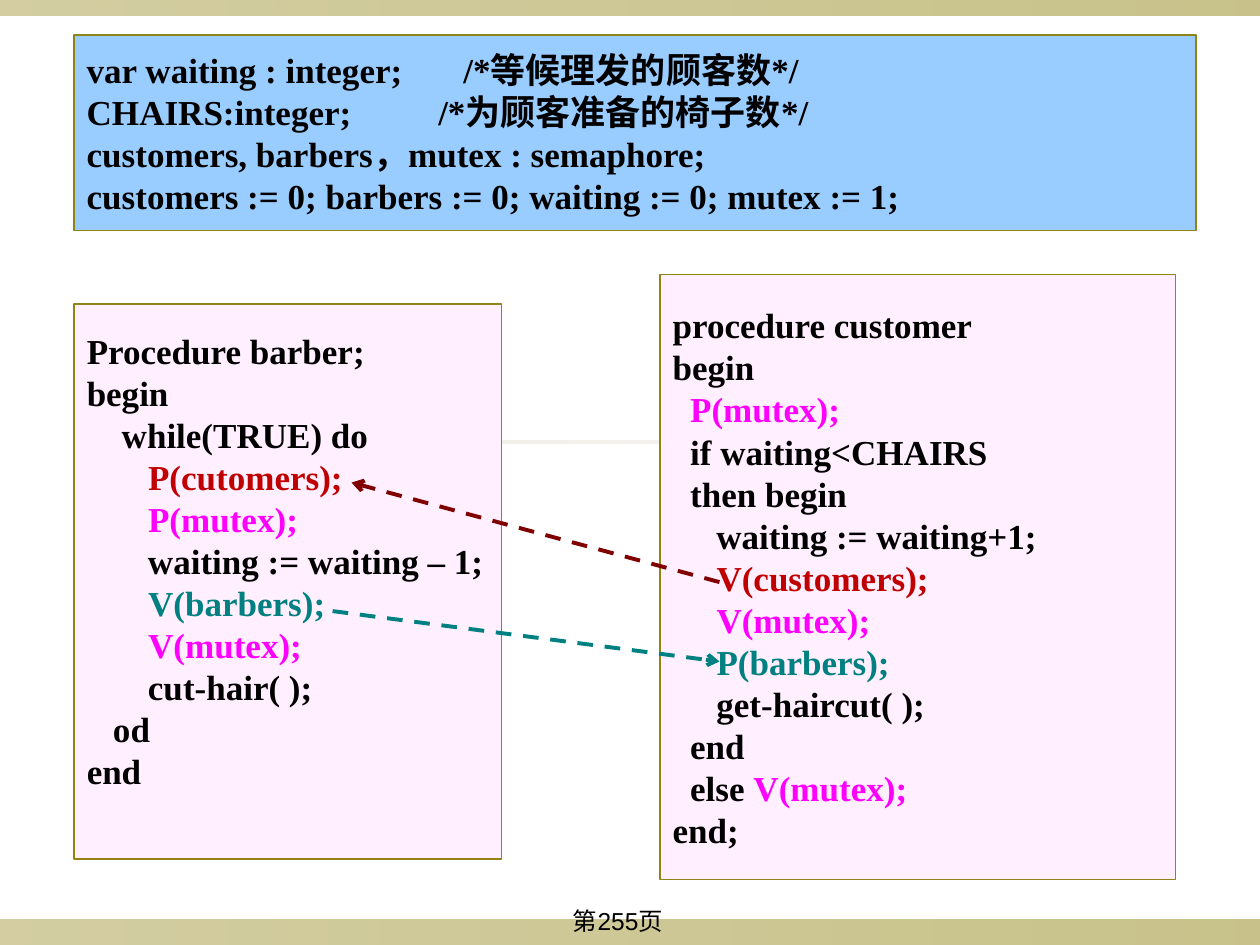
from dataclasses import dataclass

from lxml import etree
from pptx import Presentation
from pptx.dml.color import RGBColor
from pptx.enum.dml import MSO_LINE
from pptx.enum.shapes import MSO_CONNECTOR, MSO_SHAPE
from pptx.enum.text import MSO_ANCHOR, PP_ALIGN
from pptx.oxml.ns import qn
from pptx.util import Inches, Pt

RECTANGLE = MSO_SHAPE.RECTANGLE
STRAIGHT = MSO_CONNECTOR.STRAIGHT
DASH = MSO_LINE.DASH
MIDDLE = MSO_ANCHOR.MIDDLE
LEFT, CENTER = PP_ALIGN.LEFT, PP_ALIGN.CENTER


@dataclass(frozen=True)
class Theme:
    text: str = "000000"
    olive: str = "918415"
    divider: str = "DCD9CC"
    declarations: str = "99CCFF"
    procedure: str = "FFEFFF"
    mutex: str = "FF00FF"
    customers: str = "C00000"
    barbers: str = "008080"
    customers_arrow: str = "800000"
    code_font: str = "Times New Roman"
    page_font: str = "Arial"
    code_size: int = 20
    page_size: int = 14


THEME = Theme()

OPERATION_COLORS = {
    "P(mutex);": THEME.mutex,
    "V(mutex);": THEME.mutex,
    "P(cutomers);": THEME.customers,
    "V(customers);": THEME.customers,
    "P(barbers);": THEME.barbers,
    "V(barbers);": THEME.barbers,
}

DECLARATIONS = [
    "var waiting : integer;\t/*等候理发的顾客数*/",
    "CHAIRS:integer;\t/*为顾客准备的椅子数*/",
    "customers, barbers，mutex : semaphore;",
    "customers := 0; barbers := 0; waiting := 0; mutex := 1;",
]
COMMENT_TABS = {0: 2.99, 1: 2.79}

BARBER = [
    "Procedure barber;",
    "begin",
    "    while(TRUE) do",
    "       P(cutomers);",
    "       P(mutex);",
    "       waiting := waiting – 1;",
    "       V(barbers);",
    "       V(mutex);",
    "       cut-hair( );",
    "   od",
    "end",
]

CUSTOMER = [
    "procedure customer",
    "begin",
    "  P(mutex);",
    "  if waiting<CHAIRS",
    "  then begin",
    "     waiting := waiting+1;",
    "     V(customers);",
    "     V(mutex);",
    "     P(barbers);",
    "     get-haircut( );",
    "  end",
    "  else V(mutex);",
    "end;",
]


def rgb(color):
    return RGBColor.from_string(color)


def add_band(slide, place, color, opacities):
    band = slide.shapes.add_shape(RECTANGLE, *map(Inches, place))
    band.shadow.inherit = False
    band.line.fill.background()
    band.fill.gradient()
    band.fill.gradient_angle = 0
    for stop in band.fill.gradient_stops:
        stop.color.rgb = rgb(color)
    stop_colors = band.fill._xPr.iter(qn("a:srgbClr"))
    for stop_color, opacity in zip(stop_colors, opacities):
        etree.SubElement(stop_color, qn("a:alpha"), val=str(opacity * 1000))


def add_page_number(slide, place, label):
    page = slide.shapes.add_textbox(*map(Inches, place))
    page.text_frame.word_wrap = True
    paragraph = page.text_frame.paragraphs[0]
    paragraph.text = label
    paragraph.alignment = CENTER
    paragraph.font.name = THEME.page_font
    paragraph.font.size = Pt(THEME.page_size)
    paragraph.font.color.rgb = rgb(THEME.text)


def add_tab(paragraph, position):
    tabs = etree.SubElement(paragraph._p.get_or_add_pPr(), qn("a:tabLst"))
    etree.SubElement(tabs, qn("a:tab"), pos=str(Inches(position)), algn="l")


def write_code_line(paragraph, line):
    paragraph.alignment = LEFT
    paragraph.font.name = THEME.code_font
    paragraph.font.size = Pt(THEME.code_size)
    paragraph.font.bold = True
    paragraph.font.color.rgb = rgb(THEME.text)
    operation = next((op for op in OPERATION_COLORS if line.endswith(op)), "")
    paragraph.add_run().text = line.removesuffix(operation)
    if operation:
        call = paragraph.add_run()
        call.text = operation
        call.font.color.rgb = rgb(OPERATION_COLORS[operation])


def add_code_box(slide, place, fill, lines, tabs=None, bottom_inset=0.05):
    box = slide.shapes.add_shape(RECTANGLE, *map(Inches, place))
    box.shadow.inherit = False
    box.fill.solid()
    box.fill.fore_color.rgb = rgb(fill)
    box.line.color.rgb = rgb(THEME.olive)
    box.line.width = Pt(1)
    frame = box.text_frame
    frame.word_wrap = True
    frame.vertical_anchor = MIDDLE
    frame.margin_bottom = Inches(bottom_inset)
    for index, line in enumerate(lines):
        paragraph = frame.paragraphs[0] if index == 0 else frame.add_paragraph()
        if tabs and index in tabs:
            add_tab(paragraph, tabs[index])
        write_code_line(paragraph, line)


def add_signal_arrow(slide, start, end, color):
    arrow = slide.shapes.add_connector(STRAIGHT, *map(Inches, start + end))
    arrow.line.color.rgb = rgb(color)
    arrow.line.width = Pt(2.25)
    arrow.line.dash_style = DASH
    etree.SubElement(arrow.line._get_or_add_ln(), qn("a:tailEnd"), type="arrow")
    etree.SubElement(arrow._element.spPr, qn("a:effectLst"))


def main():
    deck = Presentation()
    deck.slide_width, deck.slide_height = Inches(10), Inches(7.5)
    slide = deck.slides.add_slide(deck.slide_layouts[6])

    add_band(slide, (0, 7.3, 10, 0.2), THEME.olive, (40, 50))
    add_band(slide, (0, 0, 10, 0.12), THEME.olive, (40, 50))
    add_band(slide, (0.75, 3.5, 8.5, 0.02), THEME.divider, (50, 20))
    add_page_number(slide, (3.74, 7.14, 2.33, 0.36), "第255页")

    add_code_box(slide, (0.59, 0.28, 8.9, 1.55), THEME.declarations,
                 DECLARATIONS, tabs=COMMENT_TABS)
    add_code_box(slide, (0.59, 2.41, 3.39, 4.41), THEME.procedure,
                 BARBER, bottom_inset=0.38)
    add_code_box(slide, (5.24, 2.18, 4.09, 4.8), THEME.procedure, CUSTOMER)

    add_signal_arrow(slide, (5.71, 4.62), (2.79, 3.83), THEME.customers_arrow)
    add_signal_arrow(slide, (2.64, 4.85), (5.71, 5.25), THEME.barbers)
    deck.save("out.pptx")


if __name__ == "__main__":
    main()
